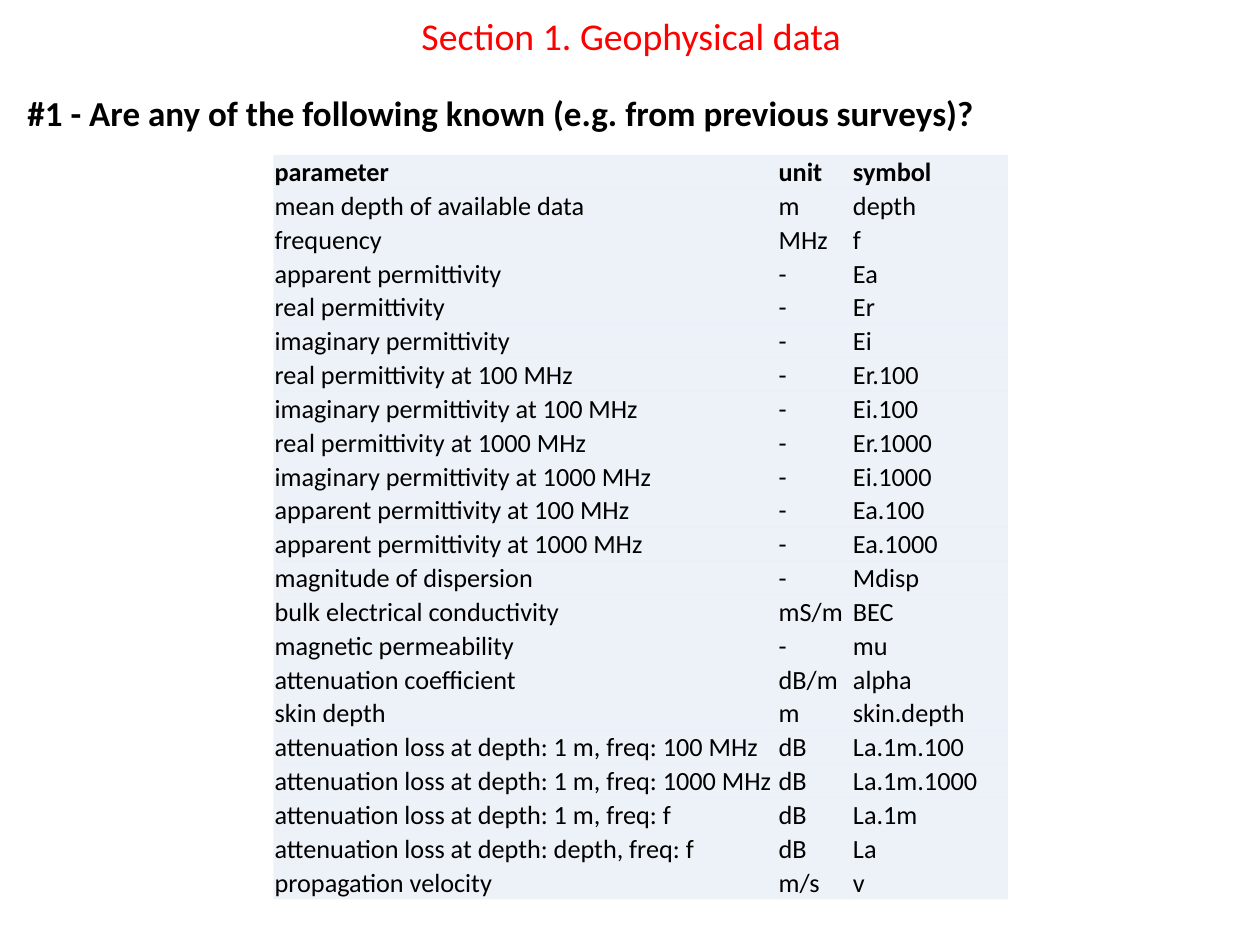
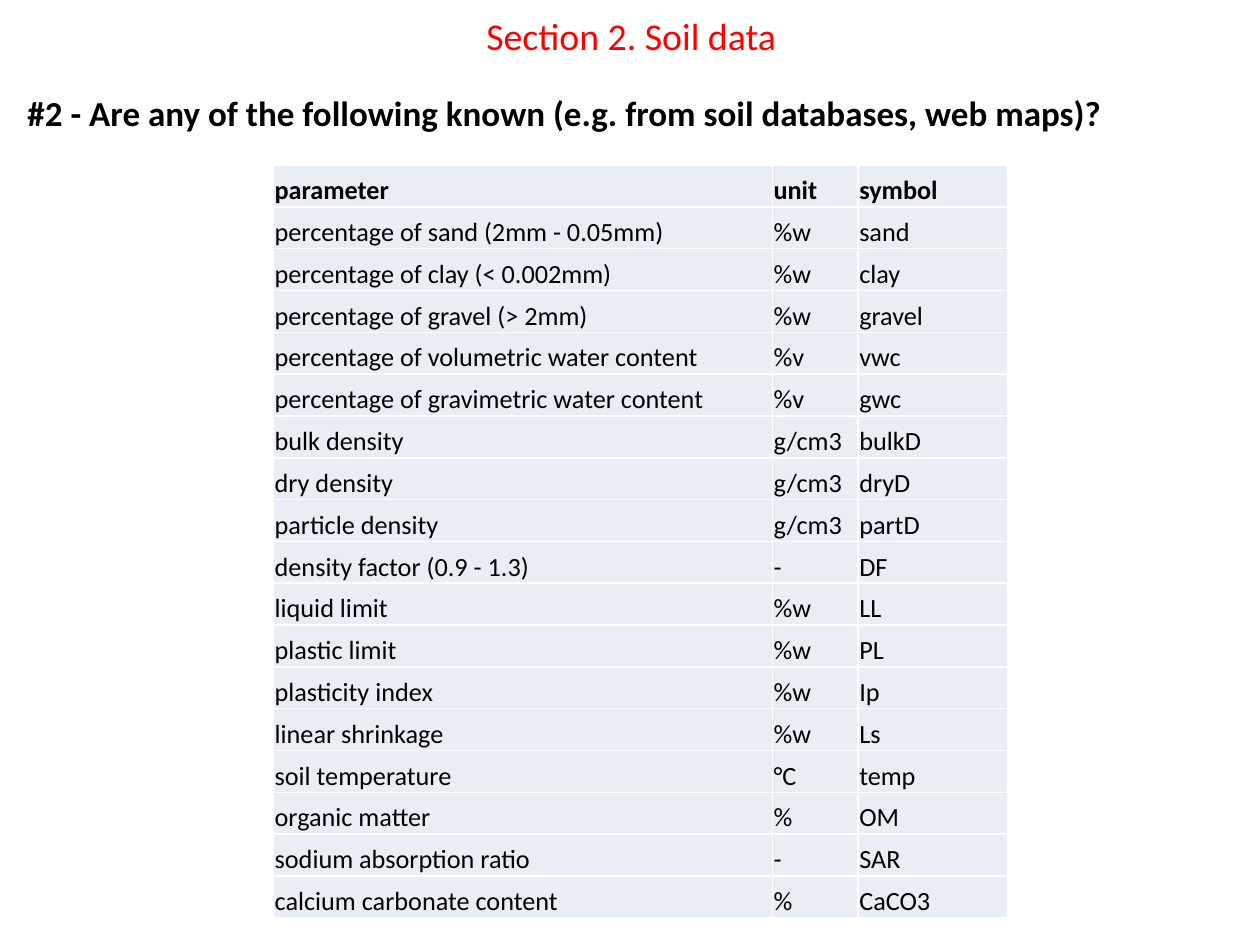
"""Build two survey slides that list geophysical and soil parameters."""
from lxml import etree
from pptx import Presentation
from pptx.dml.color import RGBColor
from pptx.enum.text import MSO_ANCHOR, MSO_AUTO_SIZE, PP_ALIGN
from pptx.oxml.ns import qn
from pptx.util import Inches, Pt

RED = RGBColor(0xFF, 0x00, 0x00)
BLACK = RGBColor(0x00, 0x00, 0x00)
BLUE = RGBColor(0x4F, 0x81, 0xBD)
PALE_BLUE = RGBColor(0xE9, 0xED, 0xF4)
WHITE = RGBColor(0xFF, 0xFF, 0xFF)
FONT = "Calibri"
CENTER = PP_ALIGN.CENTER
LEFT = PP_ALIGN.LEFT
MIDDLE = MSO_ANCHOR.MIDDLE
BOTTOM = MSO_ANCHOR.BOTTOM
NO_AUTOFIT = MSO_AUTO_SIZE.NONE
TITLE_ONLY = 5
PLAIN_TABLE_STYLE = "{2D5ABB26-0587-4C30-8999-92F81FD0307C}"
BORDER_SIDES = ("lnL", "lnR", "lnT", "lnB")
HEADER = ("parameter", "unit", "symbol")

GEOPHYSICAL_ROWS = (
    HEADER,
    ("mean depth of available data", "m", "depth"),
    ("frequency", "MHz", "f"),
    ("apparent permittivity", "-", "Ea"),
    ("real permittivity", "-", "Er"),
    ("imaginary permittivity", "-", "Ei"),
    ("real permittivity at 100 MHz", "-", "Er.100"),
    ("imaginary permittivity at 100 MHz", "-", "Ei.100"),
    ("real permittivity at 1000 MHz", "-", "Er.1000"),
    ("imaginary permittivity at 1000 MHz", "-", "Ei.1000"),
    ("apparent permittivity at 100 MHz", "-", "Ea.100"),
    ("apparent permittivity at 1000 MHz", "-", "Ea.1000"),
    ("magnitude of dispersion", "-", "Mdisp"),
    ("bulk electrical conductivity", "mS/m", "BEC"),
    ("magnetic permeability", "-", "mu"),
    ("attenuation coefficient", "dB/m", "alpha"),
    ("skin depth", "m", "skin.depth"),
    ("attenuation loss at depth: 1 m, freq: 100 MHz", "dB", "La.1m.100"),
    ("attenuation loss at depth: 1 m, freq: 1000 MHz", "dB", "La.1m.1000"),
    ("attenuation loss at depth: 1 m, freq: f", "dB", "La.1m"),
    ("attenuation loss at depth: depth, freq: f", "dB", "La"),
    ("propagation velocity", "m/s", "v"),
)

SOIL_ROWS = (
    HEADER,
    ("percentage of sand (2mm - 0.05mm)", "%w", "sand"),
    ("percentage of clay (< 0.002mm)", "%w", "clay"),
    ("percentage of gravel (> 2mm)", "%w", "gravel"),
    ("percentage of volumetric water content", "%v", "vwc"),
    ("percentage of gravimetric water content", "%v", "gwc"),
    ("bulk density", "g/cm3", "bulkD"),
    ("dry density", "g/cm3", "dryD"),
    ("particle density", "g/cm3", "partD"),
    ("density factor (0.9 - 1.3)", "-", "DF"),
    ("liquid limit", "%w", "LL"),
    ("plastic limit", "%w", "PL"),
    ("plasticity index", "%w", "Ip"),
    ("linear shrinkage", "%w", "Ls"),
    ("soil temperature", "°C", "temp"),
    ("organic matter", "%", "OM"),
    ("sodium absorption ratio", "-", "SAR"),
    ("calcium carbonate content", "%", "CaCO3"),
)


def add_span(para, text, size, color, bold=False):
    span = para.add_run()
    span.text = text
    span.font.name = FONT
    span.font.size = Pt(size)
    span.font.bold = bold
    span.font.color.rgb = color


def add_titled_page(deck, title):
    page = deck.slides.add_slide(deck.slide_layouts[TITLE_ONLY])
    box = page.shapes.title
    box.left, box.top = Inches(0.51), Inches(0.04)
    box.width, box.height = Inches(9), Inches(0.48)
    frame = box.text_frame
    frame.auto_size = NO_AUTOFIT
    frame.vertical_anchor = MIDDLE
    para = frame.paragraphs[0]
    para.alignment = CENTER
    add_span(para, title, 21.6, RED)
    return page


def add_question(page, text, height):
    box = page.shapes.add_textbox(Inches(0.12), Inches(0.68), Inches(9.76), Inches(height))
    box.text_frame.word_wrap = True
    para = box.text_frame.paragraphs[0]
    para.space_before = Pt(4)
    add_span(para, text, 20, BLACK, bold=True)


def set_fill(cell, color, opacity):
    cell.fill.solid()
    cell.fill.fore_color.rgb = color
    if opacity < 100:
        tone = cell._tc.tcPr.find(".//" + qn("a:srgbClr"))
        etree.SubElement(tone, qn("a:alpha"), val=str(opacity * 1000))


def set_borders(cell, color):
    for index, side in enumerate(BORDER_SIDES):
        line = etree.Element(qn("a:" + side), w=str(Pt(1)))
        fill = etree.SubElement(line, qn("a:solidFill"))
        etree.SubElement(fill, qn("a:srgbClr"), val=str(color))
        cell._tc.tcPr.insert(index, line)


def write_cell(cell, text, bold):
    cell.margin_left = cell.margin_top = cell.margin_right = Inches(0.01)
    cell.margin_bottom = 0
    cell.vertical_anchor = BOTTOM
    para = cell.text_frame.paragraphs[0]
    para.alignment = LEFT
    add_span(para, text, 15, BLACK, bold)


def add_parameter_table(page, rows, top, height, widths, color, opacity=100, border=None):
    frame = page.shapes.add_table(len(rows), len(widths), Inches(2.17), Inches(top),
                                  Inches(sum(widths)), Inches(height))
    table = frame.table
    table.horz_banding = False
    table._tbl.tblPr.find(qn("a:tableStyleId")).text = PLAIN_TABLE_STYLE
    for column, width in zip(table.columns, widths):
        column.width = Inches(width)
    for row_index, row in enumerate(rows):
        for column_index, text in enumerate(row):
            cell = table.cell(row_index, column_index)
            write_cell(cell, text, bold=row_index == 0)
            set_fill(cell, color, opacity)
            if border is not None:
                set_borders(cell, border)


def add_geophysical_page(deck):
    page = add_titled_page(deck, "Section 1. Geophysical data")
    add_question(page, "#1 - Are any of the following known (e.g. from previous surveys)?", 5.83)
    add_parameter_table(page, GEOPHYSICAL_ROWS, 1.23, 5.91, (4, 0.59, 1.24), BLUE, opacity=10)


def add_soil_page(deck):
    page = add_titled_page(deck, "Section 2. Soil data")
    add_question(page, "#2 - Are any of the following known (e.g. from soil databases, web maps)?", 6.54)
    add_parameter_table(page, SOIL_ROWS, 1.31, 5.98, (3.96, 0.68, 1.19), PALE_BLUE, border=WHITE)


def main():
    deck = Presentation()
    deck.slide_width, deck.slide_height = Inches(10), Inches(7.5)
    add_geophysical_page(deck)
    add_soil_page(deck)
    deck.save("out.pptx")


main()
